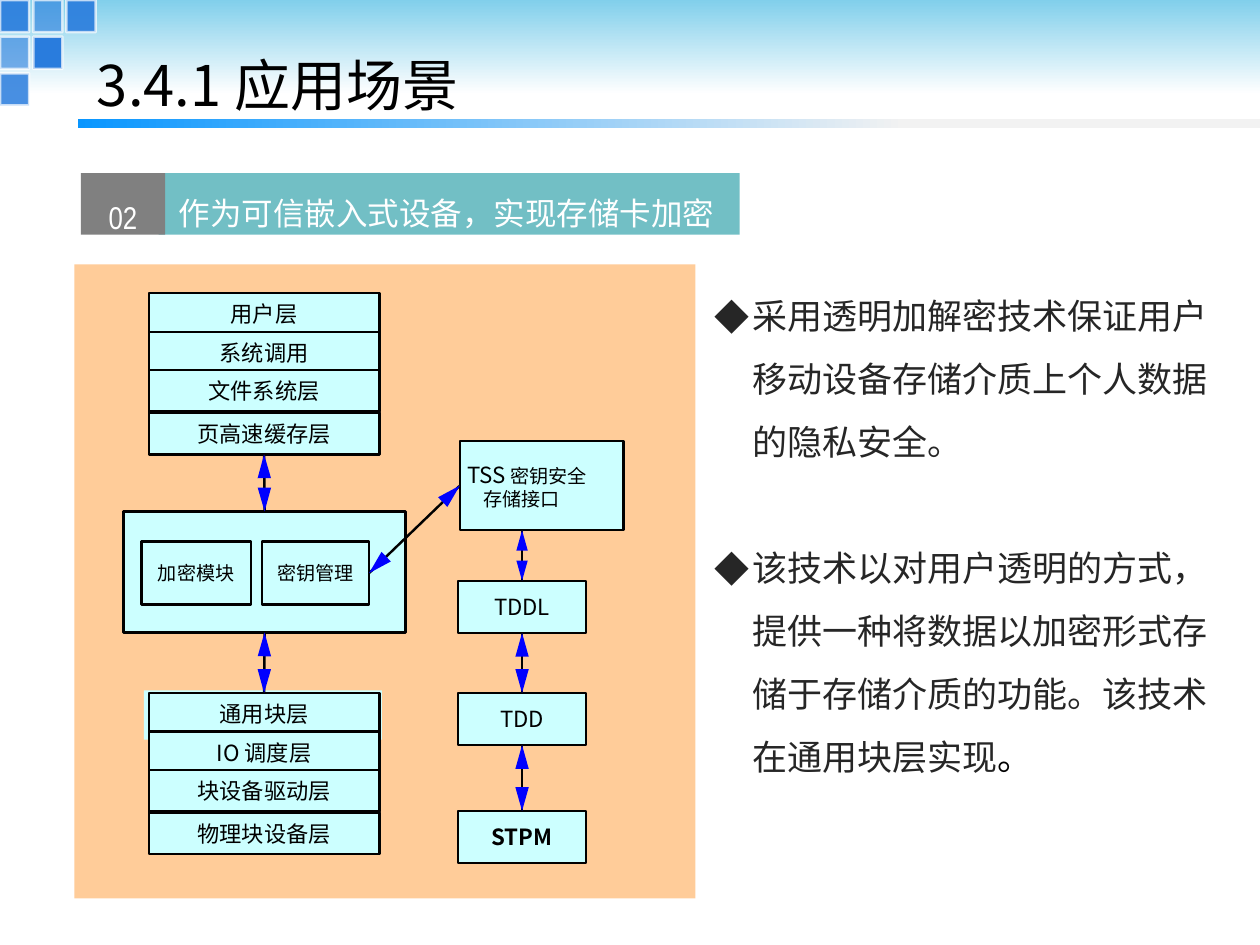
import math

from lxml import etree
from pptx import Presentation
from pptx import util as u
from pptx.dml.color import RGBColor
from pptx.enum import shapes, text
from pptx.oxml.ns import qn

FONT = "Noto Sans CJK SC"
STACK_OFFSETS = (0, 0.78, 1.55, 2.41)


def color(hex_string):
    return RGBColor.from_string(hex_string)


def format_font(paragraph, size, hex_string, name=FONT, bold=False):
    font = paragraph.font
    font.size = u.Pt(size)
    font.color.rgb = color(hex_string)
    font.bold = bold
    font.name = name
    east_asian = etree.SubElement(paragraph._p.pPr.find(qn("a:defRPr")), qn("a:ea"))
    east_asian.set("typeface", name)


def place(shape, left, top, width, height):
    shape.left, shape.top = u.Cm(left), u.Cm(top)
    shape.width, shape.height = u.Cm(width), u.Cm(height)


def add_box(slide, left, top, width, height, fill=None, line=None, line_width=1.38):
    box = slide.shapes.add_shape(
        shapes.MSO_SHAPE.RECTANGLE, u.Cm(left), u.Cm(top), u.Cm(width), u.Cm(height))
    box.shadow.inherit = False
    if fill:
        box.fill.solid()
        box.fill.fore_color.rgb = color(fill)
    if line:
        box.line.color.rgb = color(line)
        box.line.width = u.Pt(line_width)
    else:
        box.line.fill.background()
    return box


def set_gradient(shape, angle, *stops):
    shape.fill.gradient()
    shape.fill.gradient_angle = angle
    for stop, (position, hex_string) in zip(shape.fill.gradient_stops, stops):
        stop.position = position
        stop.color.rgb = color(hex_string)


def set_opacity(shape, fill_percent, line_percent):
    colors = shape.element.spPr.iter(qn("a:srgbClr"))
    for element, percent in zip(list(colors), (fill_percent, line_percent)):
        etree.SubElement(element, qn("a:alpha")).set("val", str(percent * 1000))


def add_header(slide, left, top, width):
    set_gradient(add_box(slide, left, top, width, 1.9), 270, (0, "81CFEB"), (1, "FFFFFF"))
    tiles = ((0, 0, 90), (0, 1, 60), (0, 2, 85), (1, 1, 100), (1, 0, 60), (2, 0, 90))
    for column, row, opacity in tiles:
        tile = add_box(slide, left + column * 0.67, top + row * 0.74, 0.59, 0.65,
                       "297CDD", "FFFFFF", 1.5)
        set_opacity(tile, opacity, 70)
    rule = add_box(slide, left + 1.57, top + 2.39, width - 1.57, 0.2)
    set_gradient(rule, 0, (0, "0996FF"), (0.7, "F2F2F2"))


def fill_title(slide, left, top, width, height):
    title = slide.shapes.title
    title.element.getparent().append(title.element)  # bring in front of the header
    place(title, left, top, width, height)
    frame = title.text_frame
    frame.auto_size = text.MSO_AUTO_SIZE.NONE
    frame.vertical_anchor = text.MSO_ANCHOR.MIDDLE
    paragraph = frame.paragraphs[0]
    paragraph.text = "3.4.1 应用场景"
    paragraph.alignment = text.PP_ALIGN.LEFT
    format_font(paragraph, 32, "000000")


def add_banner(slide, left, top, width, height):
    number_width = 1.7
    heading = add_box(slide, left + 1.57, top, width - 1.57, height, "72BFC5")
    number = add_box(slide, left, top, number_width, height, "808080")
    heading.text_frame.margin_left = u.Cm(0.4)
    heading.text_frame.vertical_anchor = text.MSO_ANCHOR.MIDDLE
    number.text_frame.vertical_anchor = text.MSO_ANCHOR.TOP
    for box, words, alignment, font_name in (
            (heading, "作为可信嵌入式设备，实现存储卡加密", text.PP_ALIGN.LEFT, FONT),
            (number, "02", text.PP_ALIGN.CENTER, "Arial Narrow")):
        paragraph = box.text_frame.paragraphs[0]
        paragraph.text = words
        paragraph.alignment = alignment
        paragraph.line_spacing = 1.5
        format_font(paragraph, 18, "FFFFFF", font_name)


def fill_body(slide, left, top, width, height):
    body = slide.placeholders[1]
    place(body, left, top, width, height)
    frame = body.text_frame
    frame.auto_size = text.MSO_AUTO_SIZE.NONE
    frame.text = ("采用透明加解密技术保证用户移动设备存储介质上个人数据的隐私安全。\n"
                  "该技术以对用户透明的方式，提供一种将数据以加密形式存储于存储介质的功能。"
                  "该技术在通用块层实现")
    for paragraph, space_before in zip(frame.paragraphs, (0, 36)):
        paragraph.line_spacing = 1.5
        paragraph.space_before = u.Pt(space_before)
        properties = paragraph._p.get_or_add_pPr()
        properties.set("marL", str(u.Cm(0.76)))
        properties.set("indent", str(-u.Cm(0.76)))
        etree.SubElement(properties, qn("a:buFont")).set("typeface", FONT)
        etree.SubElement(properties, qn("a:buChar")).set("char", "◆")
        format_font(paragraph, 20, "262626")
    full_stop = frame.paragraphs[-1].add_run()
    full_stop.text = "。"
    full_stop.font.color.rgb = color("000000")


def add_node(slide, left, top, width, height, label="", size=12.7, bold=False):
    node = add_box(slide, left, top, width, height, "CCFFFF", "000000")
    frame = node.text_frame
    frame.margin_left = frame.margin_right = frame.margin_top = frame.margin_bottom = 0
    frame.vertical_anchor = text.MSO_ANCHOR.MIDDLE
    if label:
        paragraph = frame.paragraphs[0]
        paragraph.text = label
        paragraph.alignment = text.PP_ALIGN.CENTER
        format_font(paragraph, size, "000000", bold=bold)
    return node


def add_stack(slide, left, top, labels):
    """Add a pile of layers and return the first and the last one."""
    layers = [add_node(slide, left, top + offset, 4.65, 0.84, label)
              for offset, label in zip(STACK_OFFSETS, labels)]
    return layers[0], layers[-1]


def add_interface_node(slide, left, top):
    node = add_node(slide, left, top, 3.3, 1.8)
    frame = node.text_frame
    frame.margin_left = u.Cm(0.15)
    frame.text = "TSS\n存储接口"
    first, second = frame.paragraphs
    second._p.get_or_add_pPr().set("marL", str(u.Cm(0.33)))
    for paragraph in (first, second):
        paragraph.alignment = text.PP_ALIGN.LEFT
        format_font(paragraph, 10.9, "000000")
    first.runs[0].font.size = u.Pt(12.7)
    first.add_run().text = " 密钥安全"
    return node


def add_head(slide, tip, tail, length, width):
    distance = math.dist(tip, tail)
    x, y = ((t - s) / distance for t, s in zip(tip, tail))
    base_x, base_y = tip[0] - x * u.Cm(length), tip[1] - y * u.Cm(length)
    half = u.Cm(width) / 2
    corners = [(round(base_x + side * y * half), round(base_y - side * x * half))
               for side in (1, -1)]
    builder = slide.shapes.build_freeform(*tip)
    builder.add_line_segments(corners)
    head = builder.convert_to_shape()
    head.shadow.inherit = False
    head.fill.solid()
    head.fill.fore_color.rgb = color("0000FF")
    head.line.fill.background()


def add_double_arrow(slide, begin, end, start=(0, 0), line_width=1.38, head=(0.48, 0.27)):
    """Join two (shape, site) pairs; without begin the arrow leaves from start."""
    connector = slide.shapes.add_connector(shapes.MSO_CONNECTOR.STRAIGHT, *start, *start)
    if begin:
        connector.begin_connect(*begin)
    connector.end_connect(*end)
    connector.line.color.rgb = color("000000")
    connector.line.width = u.Pt(line_width)
    etree.SubElement(connector.element.spPr, qn("a:effectLst"))
    ends = (connector.begin_x, connector.begin_y), (connector.end_x, connector.end_y)
    add_head(slide, *ends, *head)
    add_head(slide, *reversed(ends), *head)


def add_diagram(slide, left, top, width, height):
    add_box(slide, left, top, width, height, "FFCC99")
    add_box(slide, left + 1.4, top + 8.59, 4.8, 0.99, "CCFFFF")
    _, cache = add_stack(slide, left + 1.5, top + 0.58,
                         ("用户层", "系统调用", "文件系统层", "页高速缓存层"))
    block, _ = add_stack(slide, left + 1.5, top + 8.64,
                         ("通用块层", "IO 调度层", "块设备驱动层", "物理块设备层"))
    module = add_node(slide, left + 0.99, top + 4.98, 5.69, 2.44)
    add_node(slide, left + 1.35, top + 5.59, 2.21, 1.27, "加密模块", 10.9)
    keys = add_node(slide, left + 3.78, top + 5.59, 2.16, 1.27, "密钥管理", 10.9)
    interface = add_interface_node(slide, left + 7.77, top + 3.56)
    tddl, tdd, stpm = [
        add_node(slide, left + 7.73, top + offset, 2.59, 1.05, label, bold=label == "STPM")
        for label, offset in (("TDDL", 6.38), ("TDD", 8.64), ("STPM", 11.02))]

    for upper, lower in ((cache, module), (module, block), (tddl, tdd), (tdd, stpm)):
        add_double_arrow(slide, (upper, 2), (lower, 0))
    add_double_arrow(slide, (keys, 3), (interface, 1))
    start = (tddl.left + tddl.width // 2, interface.top + interface.height)
    add_double_arrow(slide, None, (tddl, 0), start, 0.75, (0.41, 0.23))


def main():
    presentation = Presentation()
    presentation.slide_width, presentation.slide_height = u.Cm(25.4), u.Cm(19.05)
    slide = presentation.slides.add_slide(presentation.slide_layouts[1])
    add_header(slide, 0, 0, 25.4)
    fill_title(slide, 1.7, 0.84, 20.35, 1.7)
    add_banner(slide, 1.63, 3.49, 13.28, 1.24)
    add_diagram(slide, 1.5, 5.33, 12.52, 12.78)
    fill_body(slide, 14.15, 5.38, 10.69, 11.37)
    presentation.save("out.pptx")


if __name__ == "__main__":
    main()
